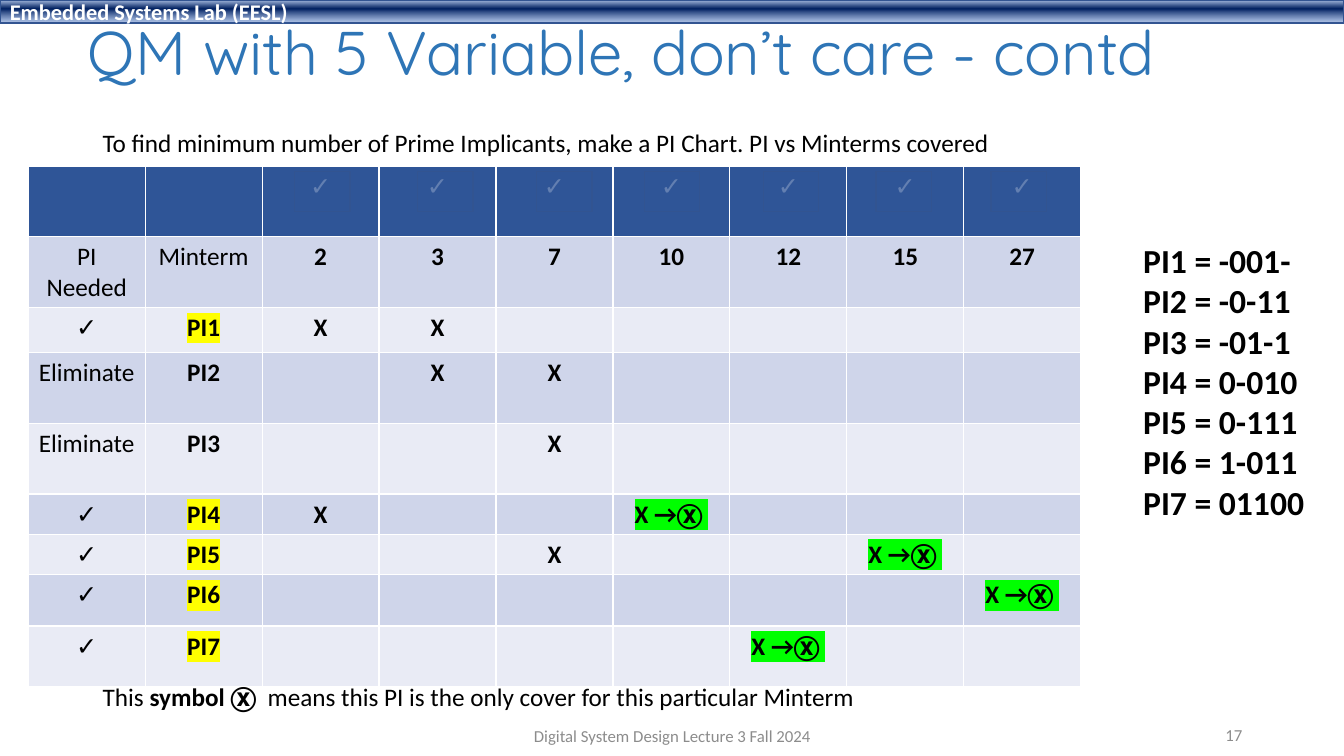
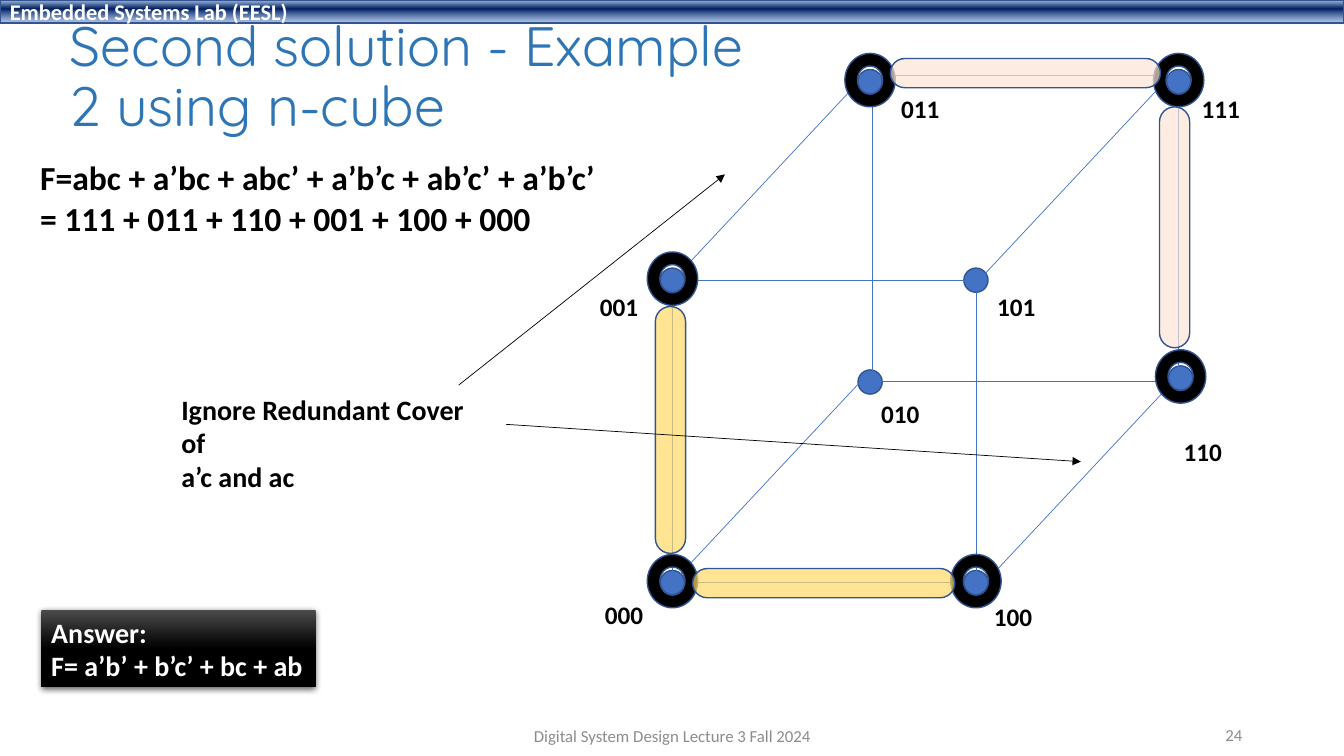
from dataclasses import dataclass

from lxml.etree import SubElement
from pptx import Presentation
from pptx.dml.color import RGBColor
from pptx.enum.shapes import MSO_CONNECTOR, MSO_SHAPE
from pptx.enum.text import MSO_ANCHOR, MSO_AUTO_SIZE, PP_ALIGN
from pptx.oxml.ns import qn
from pptx.util import Pt

PX = 9144  # EMU per px, 100 px to the inch
WIDTH, HEIGHT = 1333, 750


@dataclass(frozen=True)
class Theme:
    body_font: str = "Calibri"
    title_font: str = "Quicksand"
    black: str = "000000"
    white: str = "FFFFFF"
    title: str = "2E75B6"
    muted: str = "8C8C8C"
    accent: str = "4472C4"
    outline: str = "325491"
    header: str = "2F5597"
    rows: tuple = ("CFD5EA", "E9EBF5")
    needed: str = "FFFF00"
    essential: str = "00FF00"
    peach: str = "FBE5D6"
    gold: str = "FFD966"
    # (position %, colour, opacity %)
    band: tuple = ((2, "ABC0E4", 100), (38, "002060", 100), (93, "7E9ED6", 64))
    answer: tuple = ((0, "4B4B4B", 100), (50, "000000", 100), (100, "000000", 100))
    small: float = 12
    band_size: float = 16
    body: float = 18
    note: float = 20
    large: float = 24


T = Theme()
MINTERMS = (2, 3, 7, 10, 12, 15, 27)
COVERS = {
    "PI1": (2, 3),
    "PI2": (3, 7),
    "PI3": (7,),
    "PI4": (2, 10),
    "PI5": (7, 15),
    "PI6": (27,),
    "PI7": (12,),
}
ELIMINATED = ("PI2", "PI3")
IMPLICANTS = ("-001-", "-0-11", "-01-1", "0-010", "0-111", "1-011", "01100")
ROW_HEIGHTS = (70, 70, 45, 70, 70, 40, 40, 51, 60)
VEIL_LEFTS = (292, 414, 532, 639, 757, 869, 983)

# vertex: (centre, label corner, covered)
VERTICES = {
    "000": ((667, 578), (590, 590), True),
    "100": ((968, 578), (976, 592), True),
    "001": ((667, 278), (585, 284), True),
    "101": ((968, 278), (979, 284), False),
    "011": ((863, 81), (884, 88), True),
    "111": ((1169, 81), (1182, 88), True),
    "010": ((863, 379), (864, 390), False),
    "110": ((1171, 375), (1164, 428), True),
}
# edge direction: start points
EDGES = {
    (324, 0): ((655, 278), (655, 578), (851, 75), (865, 378)),
    (0, 300): ((667, 278), (968, 290), (865, 75), (1169, 75)),
    (188, -201): ((675, 270), (970, 279), (976, 579), (667, 578)),
}
COVER_LOOPS = (
    ((1150, 106, 30, 239), T.peach),
    ((883, 58, 268, 29), T.peach),
    ((650, 304, 30, 245), T.gold),
    ((687, 564, 260, 29), T.gold),
)


def emu(*lengths):
    return [v * PX for v in lengths]


def rgb(value):
    return RGBColor.from_string(value)


def write(tf, paragraphs, size=T.body, color=T.black, bold=False, font=T.body_font,
          align=PP_ALIGN.LEFT, highlight=None, spacing=None):
    """Fill tf; a paragraph is a string or a list of (text, bold) runs."""
    for i, runs in enumerate(paragraphs):
        p = tf.add_paragraph() if i else tf.paragraphs[0]
        p.alignment = align
        if spacing:
            p.line_spacing = spacing
        for content, strong in [(runs, bold)] if isinstance(runs, str) else runs:
            r = p.add_run()
            r.text = content
            r.font.size, r.font.bold, r.font.name = Pt(size), strong, font
            r.font.color.rgb = rgb(color)
            if highlight:
                rpr = r._r.get_or_add_rPr()
                mark = SubElement(rpr, qn("a:highlight"))
                SubElement(mark, qn("a:srgbClr"), val=highlight)
                rpr.find(qn("a:solidFill")).addnext(mark)


def text_box(s, box, *paragraphs, anchor=MSO_ANCHOR.TOP, **fmt):
    tf = s.shapes.add_textbox(*emu(*box)).text_frame
    tf.word_wrap = True
    tf.vertical_anchor = anchor
    write(tf, paragraphs, **fmt)


def shape(s, kind, box, fill=None, opacity=100, line=T.outline):
    sp = s.shapes.add_shape(kind, *emu(*box))
    sp.shadow.inherit = False
    if fill:
        sp.fill.solid()
        sp.fill.fore_color.rgb = rgb(fill)
        if opacity < 100:
            clr = sp._element.spPr.find(qn("a:solidFill"))[0]
            SubElement(clr, qn("a:alpha"), val=str(opacity * 1000))
    if line:
        sp.line.color.rgb = rgb(line)
        sp.line.width = Pt(1)
    else:
        sp.line.fill.background()
    return sp


def fill_gradient(sp, stops):
    """Vertical gradient with any number of stops."""
    sp.fill.gradient()
    grad = sp._element.spPr.find(qn("a:gradFill"))
    for child in list(grad):
        grad.remove(child)
    gs_list = SubElement(grad, qn("a:gsLst"))
    for position, color, opacity in stops:
        gs = SubElement(gs_list, qn("a:gs"), pos=str(position * 1000))
        clr = SubElement(gs, qn("a:srgbClr"), val=color)
        if opacity < 100:
            SubElement(clr, qn("a:alpha"), val=str(opacity * 1000))
    SubElement(grad, qn("a:lin"), ang="5400000", scaled="0")


def drop_shadow(sp):
    effects = sp._element.spPr.find(qn("a:effectLst"))
    outer = SubElement(effects, qn("a:outerShdw"), blurRad=str(Pt(4.5)),
                       dist=str(Pt(1.5)), dir="5400000", rotWithShape="0")
    clr = SubElement(outer, qn("a:srgbClr"), val=T.black)
    SubElement(clr, qn("a:alpha"), val="63000")


def line(s, start, end, color=T.accent, arrow=False):
    cx = s.shapes.add_connector(MSO_CONNECTOR.STRAIGHT, *emu(*start, *end))
    cx.line.color.rgb = rgb(color)
    cx.line.width = Pt(0.5)
    if arrow:
        SubElement(cx.line._get_or_add_ln(), qn("a:tailEnd"), type="triangle")
    SubElement(cx._element.spPr, qn("a:effectLst"))


def add_band(s, layout):
    """Draw the lab band and move it to the layout, under every slide."""
    band = shape(s, MSO_SHAPE.RECTANGLE, (0, 0, WIDTH, 23))
    fill_gradient(band, T.band)
    write(band.text_frame, ["Embedded Systems Lab (EESL)"], size=T.band_size,
          color=T.white, bold=True)
    layout.shapes._spTree.append(band._element)


def add_slide(prs, title, box, size, number):
    layout = prs.slide_layouts[5]
    s = prs.slides.add_slide(layout)
    if len(prs.slides) == 1:
        add_band(s, layout)
    sp = s.shapes.title
    sp.left, sp.top, sp.width, sp.height = emu(*box)
    tf = sp.text_frame
    tf.auto_size = MSO_AUTO_SIZE.NONE
    tf.vertical_anchor = MSO_ANCHOR.MIDDLE
    write(tf, [title], size=size, color=T.title, font=T.title_font, spacing=0.9)
    footer = dict(size=T.small, color=T.muted, anchor=MSO_ANCHOR.MIDDLE)
    text_box(s, (442, 710, 450, 40), "Digital System Design Lecture 3 Fall 2024",
             align=PP_ALIGN.CENTER, **footer)
    text_box(s, (942, 709, 300, 40), str(number), align=PP_ALIGN.RIGHT, **footer)
    return s


def chart_rows():
    """Rows of (text, format) cells of the prime implicant chart."""
    strong = dict(bold=True)
    yield [("", {})] * 2 + [("✓", dict(color=T.white))] * len(MINTERMS)
    yield [("PI Needed", {}), ("Minterm", {})] + [(str(m), strong) for m in MINTERMS]
    every_cover = [m for covered in COVERS.values() for m in covered]
    for name, covered in COVERS.items():
        out = name in ELIMINATED
        row = [("Eliminate" if out else "✓", {}),
               (name, dict(bold=True, highlight=None if out else T.needed))]
        for m in MINTERMS:
            if m not in covered:
                row.append(("", {}))
            elif every_cover.count(m) == 1:
                row.append(("X →Ⓧ ", dict(bold=True, highlight=T.essential)))
            else:
                row.append(("X", strong))
        yield row


def add_pi_chart(s):
    columns = len(MINTERMS) + 2
    frame = s.shapes.add_table(len(ROW_HEIGHTS), columns,
                               *emu(28, 165, 116 * columns, sum(ROW_HEIGHTS)))
    table = frame.table
    for column in table.columns:
        column.width = 116 * PX
    for i, cells in enumerate(chart_rows()):
        table.rows[i].height = ROW_HEIGHTS[i] * PX
        for j, (content, fmt) in enumerate(cells):
            cell = table.cell(i, j)
            cell.fill.solid()
            cell.fill.fore_color.rgb = rgb(T.rows[(i - 1) % 2] if i else T.header)
            if content:
                write(cell.text_frame, [content], align=PP_ALIGN.CENTER, **fmt)


def pi_chart_slide(prs):
    s = add_slide(prs, "QM with 5 Variable, don’t care - contd", (77, 15, 1150, 81), 44, 17)
    text_box(s, (92, 121, 930, 40),
             "To find minimum number of Prime Implicants, make a PI Chart. PI vs Minterms covered")
    add_pi_chart(s)
    text_box(s, (92, 671, 800, 40),
             [("This ", False), ("symbol Ⓧ", True),
              ("  means this PI is the only cover for this particular Minterm", False)])
    text_box(s, (1124, 233, 190, 293),
             *[f"{name} = {term}" for name, term in zip(COVERS, IMPLICANTS)],
             size=T.large, bold=True)
    for left in VEIL_LEFTS:
        shape(s, MSO_SHAPE.RECTANGLE, (left, 170, 55, 40), T.header, opacity=75)


def add_cube(s):
    for (x, y), _, _ in VERTICES.values():
        shape(s, MSO_SHAPE.OVAL, (x - 12, y - 12, 24, 24), T.accent)
    for (dx, dy), starts in EDGES.items():
        for x, y in starts:
            line(s, (x, y), (x + dx, y + dy))
    for name, (_, corner, _) in VERTICES.items():
        text_box(s, (*corner, 65, 40), name, bold=True)
    for (x, y), _, covered in VERTICES.values():
        if covered:
            shape(s, MSO_SHAPE.DONUT, (x - 25, y - 28, 50, 53), T.black)
    for box, color in COVER_LOOPS:
        loop = shape(s, MSO_SHAPE.ROUNDED_RECTANGLE, box, color, opacity=70)
        loop.adjustments[0] = 0.5


def n_cube_slide(prs):
    s = add_slide(prs, "Second solution - Example 2 using n-cube", (59, 18, 719, 120), 39.6, 24)
    text_box(s, (30, 151, 600, 91), "F=abc + a’bc + abc’ + a’b’c + ab’c’ + a’b’c’",
             "= 111 + 011 + 110 + 001 + 100 + 000", size=T.large, bold=True)
    add_cube(s)
    text_box(s, (170, 384, 310, 111), "Ignore Redundant Cover of", "a’c and ac",
             size=T.note, bold=True)
    line(s, (455, 382), (719, 173), T.black, arrow=True)
    line(s, (502, 421), (1072, 458), T.black, arrow=True)
    answer = shape(s, MSO_SHAPE.RECTANGLE, (41, 605, 272, 77), line=None)
    fill_gradient(answer, T.answer)
    drop_shadow(answer)
    answer.text_frame.word_wrap = False
    write(answer.text_frame, ["Answer:", "F= a’b’ + b’c’ + bc + ab"],
          size=T.note, color=T.white, bold=True)


def main():
    prs = Presentation()
    prs.slide_width, prs.slide_height = emu(WIDTH, HEIGHT)
    pi_chart_slide(prs)
    n_cube_slide(prs)
    prs.save("out.pptx")


if __name__ == "__main__":
    main()
